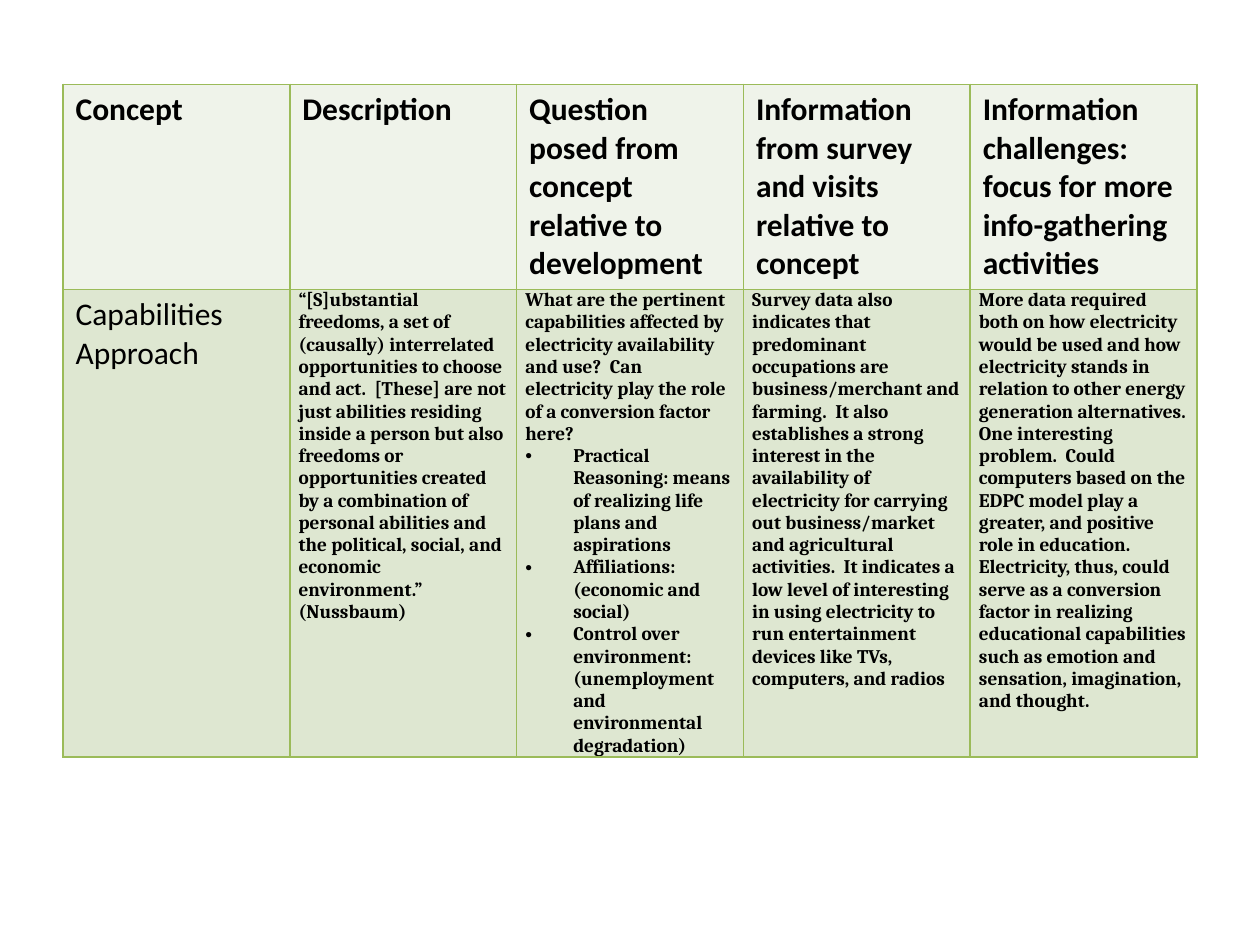
from lxml.etree import SubElement
from pptx import Presentation
from pptx.dml.color import RGBColor
from pptx.oxml.ns import qn
from pptx.util import Inches, Pt

BORDER = RGBColor(0x9B, 0xBB, 0x59)
HEADER_FILL = RGBColor(0xEF, 0xF3, 0xEA)
BODY_FILL = RGBColor(0xDE, 0xE7, 0xD1)
BLACK = RGBColor(0, 0, 0)

HEADING = {"name": "Calibri", "size": Pt(18), "bold": True}
CONCEPT = {**HEADING, "bold": False}
DETAIL = {"name": "Cambria", "size": Pt(11), "bold": True}
DETAIL_MARGINS = {"margin_left": Inches(0.07), "margin_right": Inches(0.07),
                  "margin_top": 0, "margin_bottom": 0}
BULLET = "•"
INDENT = Inches(0.38)

HEADERS = [
    "Concept",
    "Description",
    "Question posed from concept relative to development",
    "Information from survey and visits relative to concept",
    "Information challenges: focus for more info-gathering activities",
]
DETAILS = [
    ["“[S]ubstantial freedoms, a set of (causally) interrelated opportunities to "
     "choose and act.  [These] are not just abilities residing inside a person but "
     "also freedoms or opportunities created by a combination of personal abilities "
     "and the political, social, and economic environment.” (Nussbaum)"],
    ["What are the pertinent capabilities affected by electricity availability and "
     "use?  Can electricity play the role of a conversion factor here?",
     "•Practical Reasoning: means of realizing life plans and aspirations",
     "•Affiliations: (economic and social)",
     "•Control over environment: (unemployment and environmental degradation)"],
    ["Survey data also indicates that predominant occupations are business/merchant "
     "and farming.  It also establishes a strong interest in the availability of "
     "electricity for carrying out business/market and agricultural activities.  It "
     "indicates a low level of interesting in using electricity to run entertainment "
     "devices like TVs, computers, and radios"],
    ["More data required both on how electricity would be used and how electricity "
     "stands in relation to other energy generation alternatives.",
     "One interesting problem.  Could computers based on the EDPC model play a "
     "greater, and positive role in education.  Electricity, thus, could serve as a "
     "conversion factor in realizing educational capabilities such as emotion and "
     "sensation, imagination, and thought."],
]


def set_attrs(obj, values):
    """Set each attribute of obj from a dict of values."""
    for name, value in values.items():
        setattr(obj, name, value)


def add_borders(cell):
    """Draw a one-point line on all four sides of a cell."""
    tcPr = cell._tc.get_or_add_tcPr()
    for i, side in enumerate(("a:lnL", "a:lnR", "a:lnT", "a:lnB")):
        ln = SubElement(tcPr, qn(side), w=str(Pt(1)))
        fill = SubElement(ln, qn("a:solidFill"))
        SubElement(fill, qn("a:srgbClr"), val=str(BORDER))
        tcPr.insert(i, ln)


def add_bullet(p):
    """Give a paragraph a hanging bullet."""
    pPr = p._p.get_or_add_pPr()
    pPr.set("marL", str(INDENT))
    pPr.set("indent", str(-INDENT))
    SubElement(pPr, qn("a:buFont"), typeface="Arial")
    SubElement(pPr, qn("a:buChar"), char=BULLET)


def fill_cell(cell, paragraphs, font, fill, margins):
    """Write formatted paragraphs into a filled, bordered cell."""
    cell.fill.solid()
    cell.fill.fore_color.rgb = fill
    add_borders(cell)
    set_attrs(cell, margins)
    tf = cell.text_frame
    for i, text in enumerate(paragraphs):
        p = tf.add_paragraph() if i else tf.paragraphs[0]
        if text.startswith(BULLET):
            add_bullet(p)
        r = p.add_run()
        r.text = text.removeprefix(BULLET)
        set_attrs(r.font, font)
        r.font.color.rgb = BLACK


def add_concept_table(slide, left, top, width, height):
    """Place the concept table in the given box."""
    frame = slide.shapes.add_table(2, len(HEADERS), left, top, width, height)
    table = frame.table
    for row in table.rows:
        row.height = Inches(0.41)
    frame.height = height
    for col, header in enumerate(HEADERS):
        fill_cell(table.cell(0, col), [header], HEADING, HEADER_FILL, {})
    fill_cell(table.cell(1, 0), ["Capabilities Approach"], CONCEPT, BODY_FILL, {})
    for col, paragraphs in enumerate(DETAILS, 1):
        fill_cell(table.cell(1, col), paragraphs, DETAIL, BODY_FILL, DETAIL_MARGINS)


def main():
    """Build and save the slide."""
    prs = Presentation()
    set_attrs(prs, {"slide_width": Inches(10), "slide_height": Inches(7.5)})
    s = prs.slides.add_slide(prs.slide_layouts[6])
    add_concept_table(s, Inches(0.5), Inches(0.67), Inches(9), Inches(5.45))
    prs.save("out.pptx")


if __name__ == "__main__":
    main()
